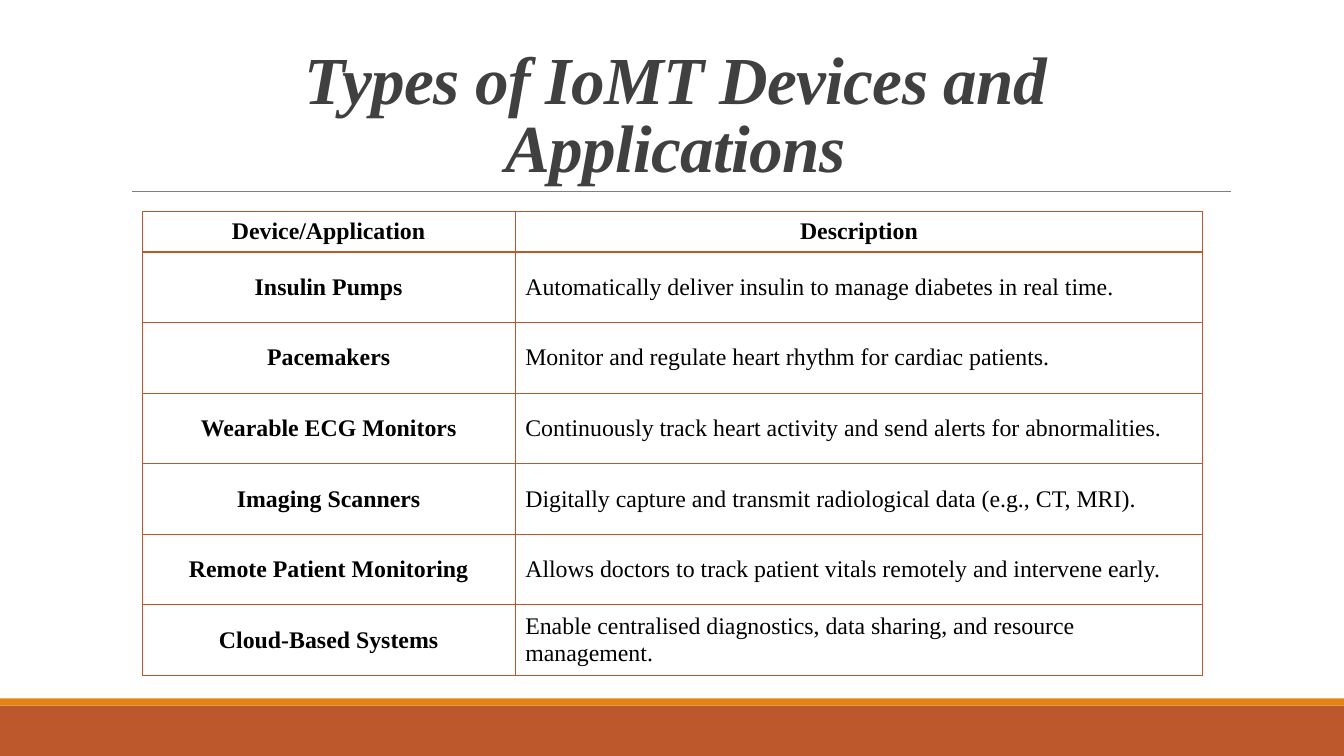
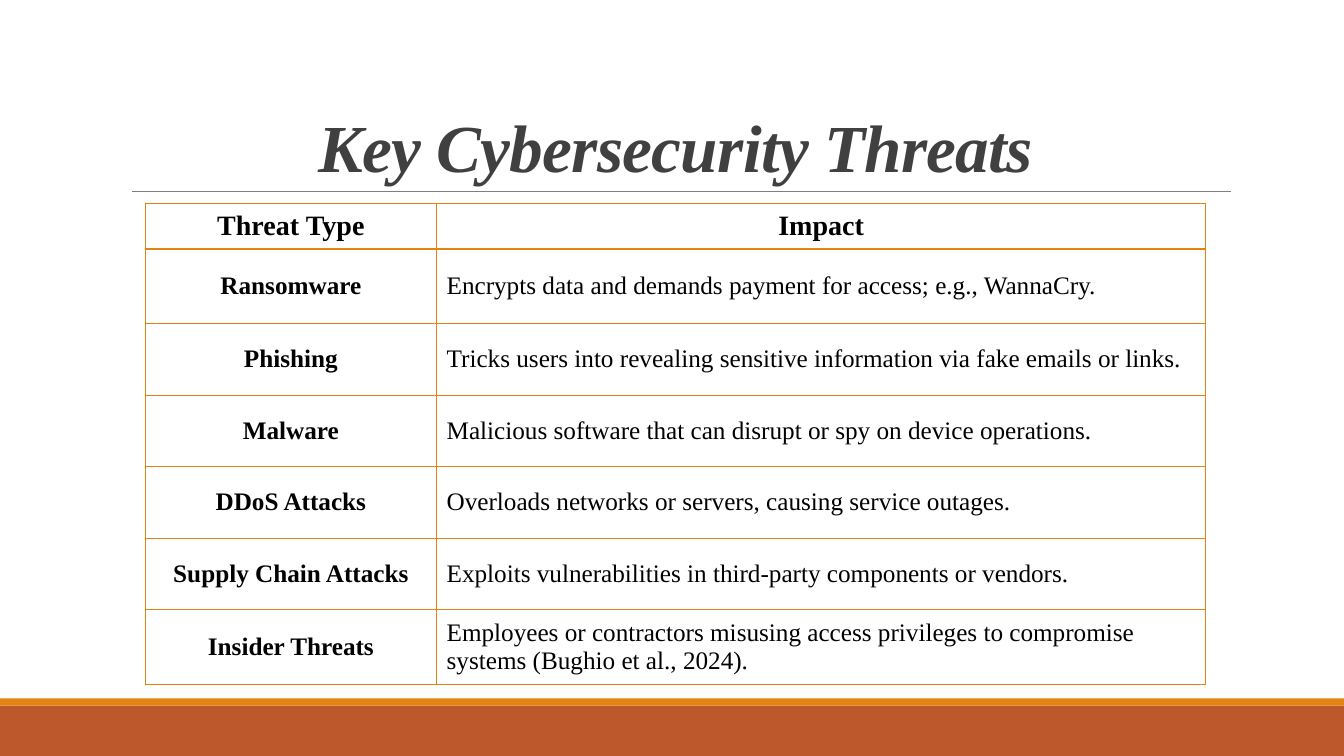
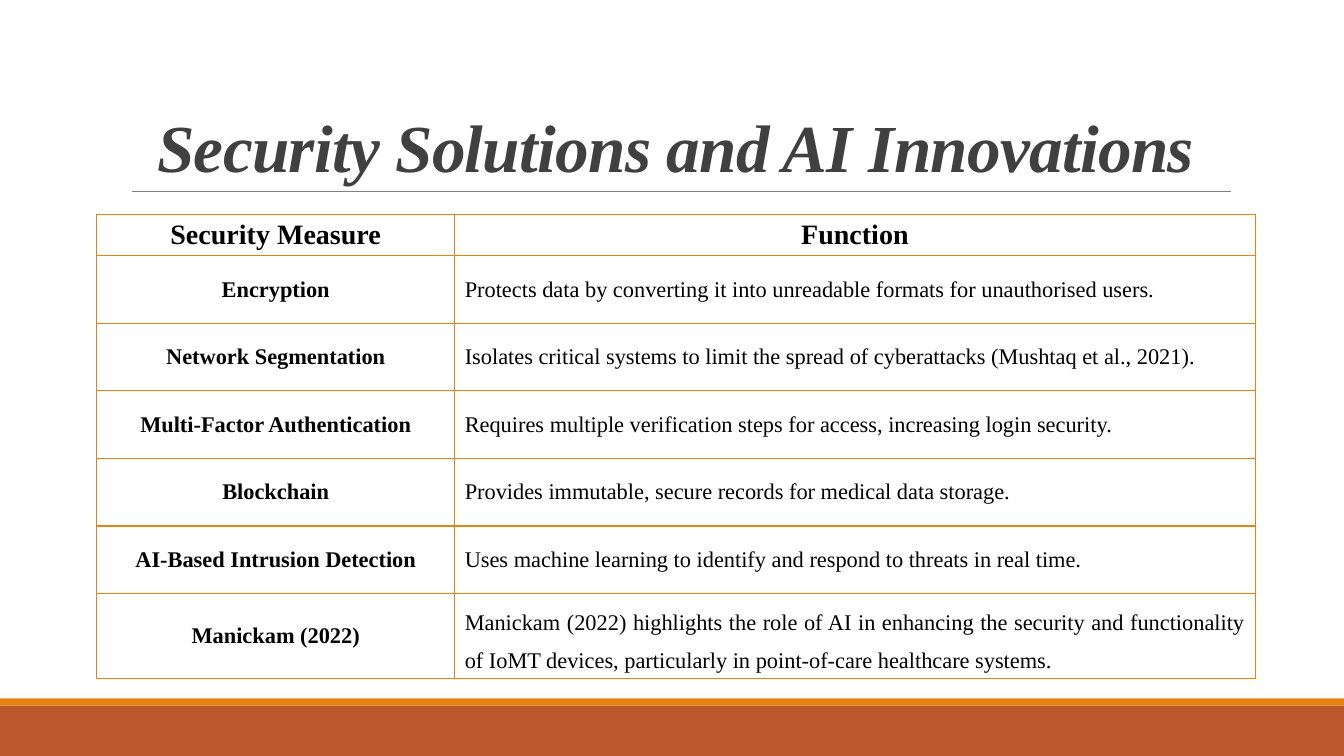
from lxml.etree import SubElement
from pptx import Presentation
from pptx.dml.color import RGBColor
from pptx.enum.shapes import MSO_CONNECTOR, MSO_SHAPE
from pptx.enum.text import MSO_ANCHOR, MSO_AUTO_SIZE, PP_ALIGN
from pptx.oxml.ns import qn
from pptx.util import Inches, Pt

# Shared style
WIDTH, HEIGHT = 13.33, 7.5
RUST = RGBColor(0xBD, 0x58, 0x2C)
ORANGE = RGBColor(0xE4, 0x83, 0x12)
GRAY = RGBColor(0x80, 0x80, 0x80)
CHARCOAL = RGBColor(0x40, 0x40, 0x40)
BLACK = RGBColor(0, 0, 0)
FONT = "Times New Roman"
TITLE_FONT = {"name": FONT, "size": Pt(48), "bold": True, "italic": True}
TITLE_PLACE = {"left": Inches(1.2), "top": Inches(0.31),
               "width": Inches(11), "height": Inches(1.59)}
TITLE_FRAME = {"vertical_anchor": MSO_ANCHOR.BOTTOM, "word_wrap": True,
               "auto_size": MSO_AUTO_SIZE.NONE}
RULE_LEFT, RULE_RIGHT, RULE_TOP = 1.31, 12.21, 1.9

# Slide content: one dict per table slide
DEVICES = {
    "title": "Types of IoMT Devices and Applications",
    "at": (1.41, 2.1), "columns": (3.7, 6.82), "rows": [0.4] + [0.7] * 6,
    "border": RUST, "sizes": (17, 17),
    "cells": [
        ("Device/Application", "Description"),
        ("Insulin Pumps", "Automatically deliver insulin to manage diabetes in real time."),
        ("Pacemakers", "Monitor and regulate heart rhythm for cardiac patients."),
        ("Wearable ECG Monitors",
         "Continuously track heart activity and send alerts for abnormalities."),
        ("Imaging Scanners",
         "Digitally capture and transmit radiological data (e.g., CT, MRI)."),
        ("Remote Patient Monitoring",
         "Allows doctors to track patient vitals remotely and intervene early."),
        ("Cloud-Based Systems",
         "Enable centralised diagnostics, data sharing, and resource management."),
    ],
}
THREATS = {
    "title": "Key Cybersecurity Threats",
    "at": (1.44, 2.02), "columns": (2.89, 7.63),
    "rows": [0.45, 0.74] + [0.71] * 4 + [0.74],
    "border": ORANGE, "sizes": (20, 18),
    "cells": [
        ("Threat Type", "Impact"),
        ("Ransomware", "Encrypts data and demands payment for access; e.g., WannaCry."),
        ("Phishing",
         "Tricks users into revealing sensitive information via fake emails or links."),
        ("Malware", "Malicious software that can disrupt or spy on device operations."),
        ("DDoS Attacks", "Overloads networks or servers, causing service outages."),
        ("Supply Chain Attacks",
         "Exploits vulnerabilities in third-party components or vendors."),
        ("Insider Threats",
         "Employees or contractors misusing access privileges to compromise "
         "systems (Bughio et al., 2024)."),
    ],
}
SOLUTIONS = {
    "title": "Security Solutions and AI Innovations",
    "at": (0.96, 2.13), "columns": (3.55, 7.94), "rows": [0.4] + [0.67] * 5 + [0.84],
    "border": ORANGE, "sizes": (20, 16),
    "last_format": {"alignment": PP_ALIGN.JUSTIFY, "line_spacing": 1.5},
    "cells": [
        ("Security Measure", "Function"),
        ("Encryption",
         "Protects data by converting it into unreadable formats for unauthorised users."),
        ("Network Segmentation",
         "Isolates critical systems to limit the spread of cyberattacks "
         "(Mushtaq et al., 2021)."),
        ("Multi-Factor Authentication",
         "Requires multiple verification steps for access, increasing login security."),
        ("Blockchain", "Provides immutable, secure records for medical data storage."),
        ("AI-Based Intrusion Detection",
         "Uses machine learning to identify and respond to threats in real time."),
        ("Manickam (2022)",
         "Manickam (2022) highlights the role of AI in enhancing the security and "
         "functionality of IoMT devices, particularly in point-of-care healthcare systems."),
    ],
}


def apply(target, values):
    for name, value in values.items():
        setattr(target, name, value)


def add_band(page, top, height, color):
    band = page.shapes.add_shape(MSO_SHAPE.RECTANGLE, 0, Inches(top),
                                 Inches(WIDTH), Inches(height))
    band.shadow.inherit = False
    band.fill.solid()
    band.fill.fore_color.rgb = color
    band.line.fill.background()
    return band


def add_rule(page):
    rule = page.shapes.add_connector(MSO_CONNECTOR.STRAIGHT, Inches(RULE_LEFT), Inches(RULE_TOP),
                                     Inches(RULE_RIGHT), Inches(RULE_TOP))
    rule.line.color.rgb = GRAY
    rule.line.width = Pt(0.5)
    SubElement(rule.element.spPr, qn("a:effectLst"))
    return rule


def decorate_layout(layout, page):
    """Draw the bands and rule on a page, then move them to its layout."""
    for holder in list(layout.placeholders):
        if holder.placeholder_format.idx:
            holder.element.getparent().remove(holder.element)
    for shape in (add_band(page, HEIGHT - 0.5, 0.5, RUST),
                  add_band(page, HEIGHT - 0.57, 0.07, ORANGE),
                  add_rule(page)):
        layout.shapes.element.append(shape.element)


def set_title(page, text):
    box = page.shapes.title
    apply(box, TITLE_PLACE)
    apply(box.text_frame, TITLE_FRAME)
    para = box.text_frame.paragraphs[0]
    apply(para, {"alignment": PP_ALIGN.CENTER, "line_spacing": 0.85})
    span = para.add_run()
    span.text = text
    apply(span.font, TITLE_FONT)
    span.font.color.rgb = CHARCOAL
    for properties in box.element.iter(qn("a:rPr")):
        properties.set("spc", "-50")


def set_borders(cell, color):
    properties = cell._tc.get_or_add_tcPr()
    for side in ("lnL", "lnR", "lnT", "lnB"):
        line = SubElement(properties, qn(f"a:{side}"), w=str(Pt(1)))
        fill = SubElement(line, qn("a:solidFill"))
        SubElement(fill, qn("a:srgbClr"), val=str(color))


def fill_cell(cell, text, size, is_label, border):
    set_borders(cell, border)
    cell.fill.background()
    cell.vertical_anchor = MSO_ANCHOR.MIDDLE
    para = cell.text_frame.paragraphs[0]
    para.alignment = PP_ALIGN.CENTER if is_label else PP_ALIGN.LEFT
    span = para.add_run()
    span.text = text
    apply(span.font, {"name": FONT, "size": Pt(size), "bold": is_label})
    span.font.color.rgb = BLACK


def add_grid(page, content):
    columns, rows = content["columns"], content["rows"]
    left, top = content["at"]
    table = page.shapes.add_table(len(rows), len(columns), Inches(left), Inches(top),
                                  Inches(sum(columns)), Inches(sum(rows))).table
    apply(table, {"first_row": False, "horz_banding": False})
    for column, width in zip(table.columns, columns):
        column.width = Inches(width)
    for row, height in zip(table.rows, rows):
        row.height = Inches(height)
    header_size, body_size = content["sizes"]
    for r, texts in enumerate(content["cells"]):
        for c, text in enumerate(texts):
            fill_cell(table.cell(r, c), text, body_size if r else header_size,
                      r == 0 or c == 0, content["border"])
    last_cell = table.cell(len(rows) - 1, len(columns) - 1)
    apply(last_cell.text_frame.paragraphs[0], content.get("last_format", {}))


def main():
    deck = Presentation()
    deck.slide_width, deck.slide_height = Inches(WIDTH), Inches(HEIGHT)
    layout = deck.slide_layouts.get_by_name("Title Only")
    pages = [deck.slides.add_slide(layout) for _ in range(3)]
    decorate_layout(layout, pages[0])
    for page, content in zip(pages, (DEVICES, THREATS, SOLUTIONS)):
        set_title(page, content["title"])
        add_grid(page, content)
    deck.save("out.pptx")


if __name__ == "__main__":
    main()
